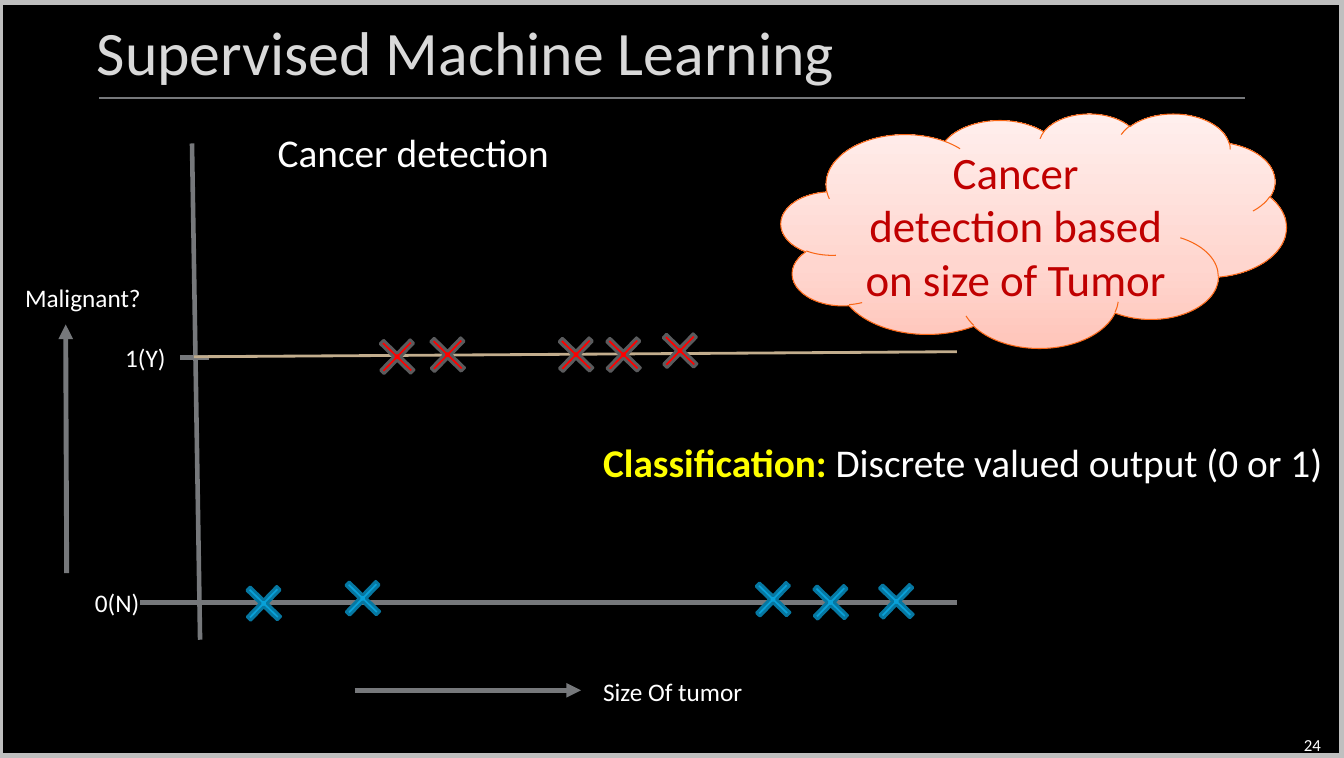
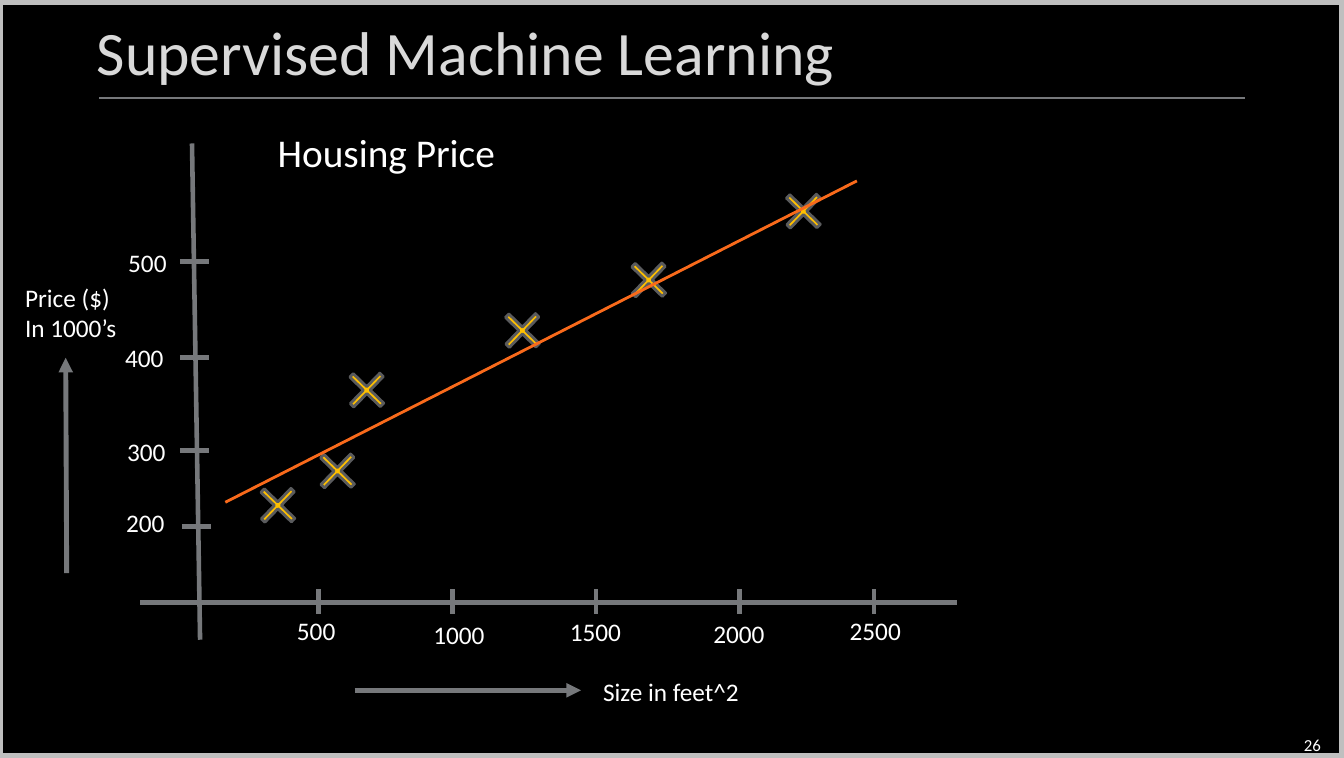
from collections import namedtuple
from copy import deepcopy

from pptx import Presentation
from pptx.dml.color import RGBColor
from pptx.enum.shapes import MSO_CONNECTOR, MSO_SHAPE
from pptx.enum.text import MSO_ANCHOR, PP_ALIGN
from pptx.oxml.ns import qn
from pptx.util import Emu, Pt
from lxml.etree import SubElement

Box = namedtuple("Box", "left top width height")
SCALE = 9144
FONT = "Calibri"
COLORS = {
    "background": "000000", "frame": "BFBFBF", "title": "D9D9D9", "text": "FFFFFF",
    "axis": "76787B", "edge": "5A5B5D", "blue": "08A1D9", "blue_edge": "0677A1",
    "red": "FF0000", "gold": "FFC000", "sand": "C2AD8D", "orange": "F96A1B",
    "yellow": "FFFF00", "cloud_text": "C00000", "cloud_edge": "F96615",
    "cloud_low": "FFC5BA", "cloud_middle": "FFD6CF", "cloud_high": "FFEFED",
}
PLOT = Box(139, 142, 808, 491)
X_AXIS = 454
CROSS = 42


def px(length):
    """Turn px into EMU."""
    return Emu(length * SCALE)


def color(name):
    """Look up a named colour."""
    return RGBColor.from_string(COLORS[name])


def write(frame, text, size, ink, align=PP_ALIGN.LEFT):
    """Fill a text frame with paragraphs of one style."""
    frame.text = text
    for para in frame.paragraphs:
        para.alignment = align
        para.font.name, para.font.size = FONT, Pt(size)
        para.font.color.rgb = color(ink)


def add_label(page, box, text, size=18, ink="text", align=PP_ALIGN.LEFT,
              anchor=MSO_ANCHOR.TOP, wrap=False):
    """Add a text box and return its frame."""
    frame = page.shapes.add_textbox(*map(px, box)).text_frame
    frame.word_wrap, frame.vertical_anchor = wrap, anchor
    write(frame, text, size, ink, align)
    return frame


def add_line(page, box, start, end, ink="axis", weight=3.25, arrow=False):
    """Draw a line between two points of a box, with an optional arrowhead."""
    points = [px(value) for x, y in (start, end) for value in (box.left + x, box.top + y)]
    line = page.shapes.add_connector(MSO_CONNECTOR.STRAIGHT, *points)
    line.line.color.rgb, line.line.width = color(ink), Pt(weight)
    if arrow:
        SubElement(line.line._get_or_add_ln(), qn("a:tailEnd"), type="triangle")
    SubElement(line._element.spPr, qn("a:effectLst"))


def add_outlined(page, preset, box, edge, weight):
    """Add a preset shape with a plain outline and no shadow."""
    shape = page.shapes.add_shape(preset, *map(px, box))
    shape.shadow.inherit = False
    shape.line.color.rgb, shape.line.width = color(edge), Pt(weight)
    return shape


def add_crosses(page, box, corners, ink, edge="edge"):
    """Mark data points of a plot with slanted crosses."""
    for x, y in corners:
        spot = Box(box.left + x, box.top + y, CROSS, CROSS)
        cross = add_outlined(page, MSO_SHAPE.CROSS, spot, edge, 2)
        cross.adjustments[0], cross.rotation = 0.443, 314.1
        cross.fill.solid()
        cross.fill.fore_color.rgb = color(ink)


def add_page(deck, number):
    """Add a page with the shared frame, title, rule and number."""
    page = deck.slides.add_slide(deck.slide_layouts[6])
    add_outlined(page, MSO_SHAPE.RECTANGLE, Box(-2, 0, 1332, 750), "frame", 7.25).fill.background()
    add_label(page, Box(1007, 717, 310, 40), str(number), 12,
              align=PP_ALIGN.RIGHT, anchor=MSO_ANCHOR.MIDDLE, wrap=True)
    title = Box(86, 0, 754, 100)
    add_label(page, title, "Supervised Machine Learning", 44, "title",
              anchor=MSO_ANCHOR.MIDDLE, wrap=True)
    add_line(page, title, (12, 97), (1146, 97), weight=0.75)
    return page


def add_plot(page, box, heading, x_caption, y_caption, y_arrow_top, x_ticks, y_ticks, labels):
    """Draw the axes, ticks, arrows and captions of a plot."""
    add_line(page, box, (51, 0), (59, box.height))
    add_line(page, box, (0, X_AXIS), (box.width, X_AXIS))
    for x in x_ticks:
        add_line(page, box, (x, X_AXIS - 13), (x, X_AXIS + 12))
    for x, y in y_ticks:
        add_line(page, box, (x, y), (x + 29, y))
    add_line(page, box, (212, 541), (436, 541), weight=3.5, arrow=True)
    add_line(page, box, (-73, 425), (-74, y_arrow_top), weight=3.5, arrow=True)
    captions = [(*heading, 126, -20, 57, 28), (*x_caption, 448, 522, 40, 18),
                (*y_caption, -124, 132, 40, 18)]
    captions += [(*label, 40, 18) for label in labels]
    for text, width, x, y, height, size in captions:
        add_label(page, Box(box.left + x, box.top + y, width, height), text, size)


def add_cloud(page, box, text):
    """Add a shaded cloud with centred text."""
    cloud = add_outlined(page, MSO_SHAPE.CLOUD, box, "cloud_edge", 0.75)
    cloud.fill.gradient()
    cloud.fill.gradient_angle = 90
    stops = cloud._element.spPr.find(qn("a:gradFill")).find(qn("a:gsLst"))
    stops.append(deepcopy(stops[0]))
    shades = ((0, "cloud_low"), (0.35, "cloud_middle"), (1, "cloud_high"))
    for stop, (position, ink) in zip(cloud.fill.gradient_stops, shades):
        stop.position, stop.color.rgb = position, color(ink)
    cloud.text_frame.word_wrap = True
    cloud.text_frame.vertical_anchor = MSO_ANCHOR.MIDDLE
    write(cloud.text_frame, text, 32, "cloud_text", PP_ALIGN.CENTER)


def add_definition(page, box, term, meaning):
    """Add a bold term followed by its meaning."""
    para = add_label(page, box, term, 28).paragraphs[0]
    span = para.runs[0]
    span.font.bold, span.font.color.rgb = True, color("yellow")
    para.add_run().text = meaning


def build_cancer(deck):
    """Build the classification page."""
    page = add_page(deck, 24)
    add_plot(page, PLOT, ("Cancer detection", 292), ("Size Of tumor", 160),
             ("Malignant?", 136), 179, [], [(39, 212)],
             [("1(Y)", 61, -25, 192), ("0(N)", 65, -55, 434)])
    add_crosses(page, PLOT, [(101, 434), (199, 429), (605, 430), (727, 432), (662, 433)],
                "blue", "blue_edge")
    add_line(page, PLOT, (53, 211), (808, 206), "sand", 2)
    add_crosses(page, PLOT, [(233, 190), (283, 188), (410, 188), (457, 188), (513, 184)], "red")
    add_definition(page, Box(587, 429, 741, 57), "Classification: ",
                   "Discrete valued output (0 or 1)")
    add_cloud(page, Box(773, 112, 500, 232), "Cancer detection based on size of Tumor")


def build_housing(deck):
    """Build the regression page."""
    page = add_page(deck, 26)
    add_plot(page, PLOT, ("Housing Price", 238), ("Size in feet^2", 156),
             ("Price ($)\nIn 1000’s", 111), 212, [176, 309, 451, 593, 726],
             [(39, 117), (39, 212), (39, 304), (41, 379)],
             [("500", 59, 145, 462), ("1000", 71, 280, 466), ("1500", 71, 415, 463),
              ("2000", 71, 557, 465), ("2500", 71, 692, 462), ("200", 59, -24, 355),
              ("300", 59, -23, 285), ("400", 59, -25, 192), ("500", 59, -22, 98)])
    add_crosses(page, PLOT, [(115, 337), (174, 303), (203, 223), (357, 164), (482, 114),
                             (635, 46)], "gold")
    add_line(page, PLOT, (84, 355), (709, 37), "orange", 2)


def main():
    """Build and save the deck."""
    deck = Presentation()
    deck.slide_width, deck.slide_height = px(1330), px(750)
    fill = deck.slide_master.background.fill
    fill.solid()
    fill.fore_color.rgb = color("background")
    build_cancer(deck)
    build_housing(deck)
    deck.save("out.pptx")


if __name__ == "__main__":
    main()
